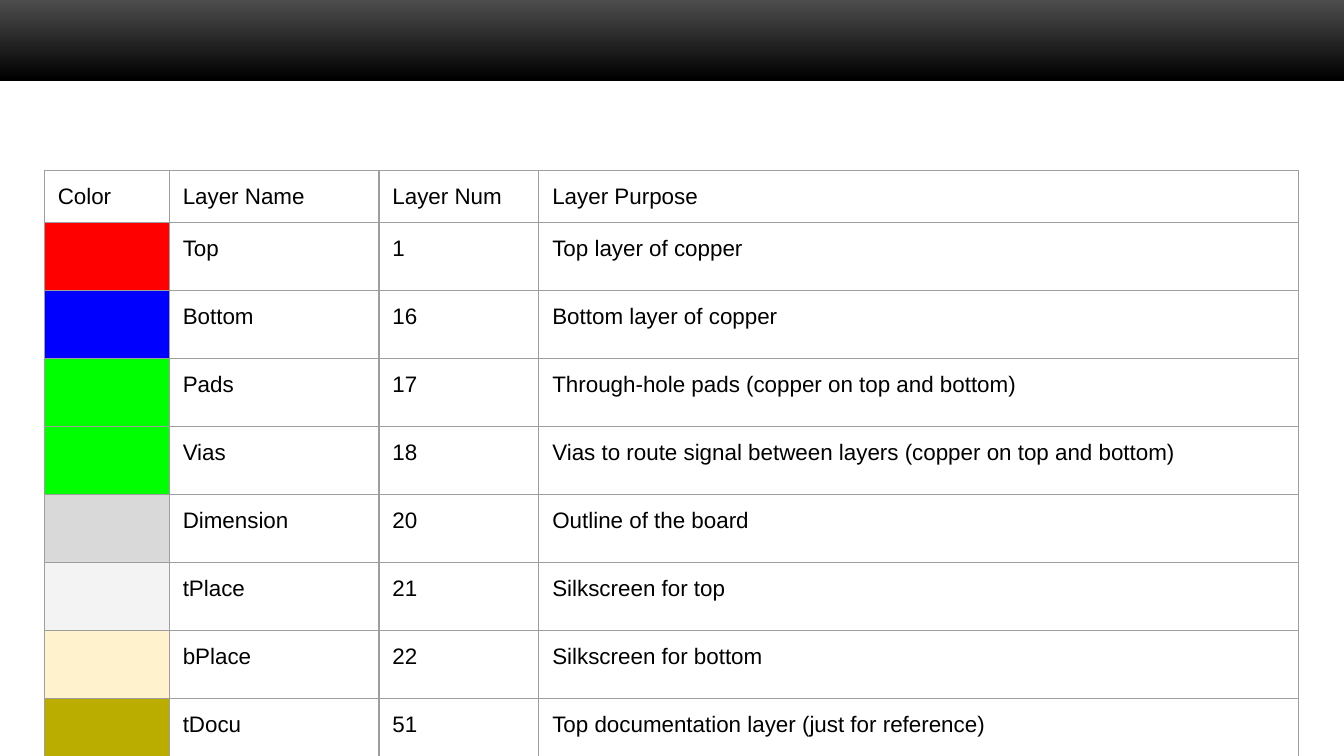
from lxml import etree
from pptx import Presentation
from pptx.dml.color import RGBColor
from pptx.enum.shapes import MSO_SHAPE
from pptx.oxml.ns import qn
from pptx.util import Inches, Pt

RECTANGLE = MSO_SHAPE.RECTANGLE
BLACK = RGBColor(0x00, 0x00, 0x00)
CHARCOAL = RGBColor(0x4D, 0x4D, 0x4D)
BORDER_GRAY = RGBColor(0x9E, 0x9E, 0x9E)
RED = RGBColor(0xFF, 0x00, 0x00)
BLUE = RGBColor(0x00, 0x00, 0xFF)
GREEN = RGBColor(0x00, 0xFF, 0x00)
SILVER = RGBColor(0xD9, 0xD9, 0xD9)
PALE_GRAY = RGBColor(0xF3, 0xF3, 0xF3)
CREAM = RGBColor(0xFF, 0xF2, 0xCC)
OLIVE = RGBColor(0xBA, 0xAD, 0x00)

ROWS = [
    ("Color", "Layer Name", "Layer Num", "Layer Purpose"),
    (RED, "Top", "1", "Top layer of copper"),
    (BLUE, "Bottom", "16", "Bottom layer of copper"),
    (GREEN, "Pads", "17", "Through-hole pads (copper on top and bottom)"),
    (GREEN, "Vias", "18", "Vias to route signal between layers (copper on top and bottom)"),
    (SILVER, "Dimension", "20", "Outline of the board"),
    (PALE_GRAY, "tPlace", "21", "Silkscreen for top"),
    (CREAM, "bPlace", "22", "Silkscreen for bottom"),
    (OLIVE, "tDocu", "51", "Top documentation layer (just for reference)"),
]
COLUMN_WIDTHS = [Inches(width) for width in (0.93, 1.56, 1.19, 5.65)]
ROW_HEIGHT = Inches(0.34)
CELL_MARGIN = Inches(0.1)


def add_borders(cell):
    properties = cell._tc.get_or_add_tcPr()
    for position, side in enumerate(("lnL", "lnR", "lnT", "lnB")):
        line = etree.Element(qn(f"a:{side}"), w=str(Pt(0.75)))
        fill = etree.SubElement(line, qn("a:solidFill"))
        etree.SubElement(fill, qn("a:srgbClr"), val=str(BORDER_GRAY))
        properties.insert(position, line)


presentation = Presentation()
presentation.slide_width = Inches(10)
presentation.slide_height = presentation.slide_width * 9 // 16
slide = presentation.slides.add_slide(presentation.slide_layouts[6])

banner = slide.shapes.add_shape(RECTANGLE, 0, 0, presentation.slide_width, Inches(0.6))
banner.shadow.inherit = False
banner.line.fill.background()
banner.fill.gradient()
banner.fill.gradient_angle = 270
for stop, color in zip(banner.fill.gradient_stops, (CHARCOAL, BLACK)):
    stop.color.rgb = color

table = slide.shapes.add_table(
    len(ROWS), len(COLUMN_WIDTHS), Inches(0.33), Inches(1.27),
    sum(COLUMN_WIDTHS), ROW_HEIGHT * len(ROWS),
).table
table.first_row = False
table.horz_banding = False
for column, width in zip(table.columns, COLUMN_WIDTHS):
    column.width = width

for row, contents in zip(table.rows, ROWS):
    for cell, content in zip(row.cells, contents):
        cell.margin_left = cell.margin_right = CELL_MARGIN
        cell.margin_top = cell.margin_bottom = CELL_MARGIN
        if isinstance(content, RGBColor):
            cell.fill.solid()
            cell.fill.fore_color.rgb = content
        else:
            cell.fill.background()
            cell.text = content
            font = cell.text_frame.paragraphs[0].font
            font.name = "Arial"
            font.size = Pt(12)
            font.color.rgb = BLACK
        add_borders(cell)

presentation.save("out.pptx")
